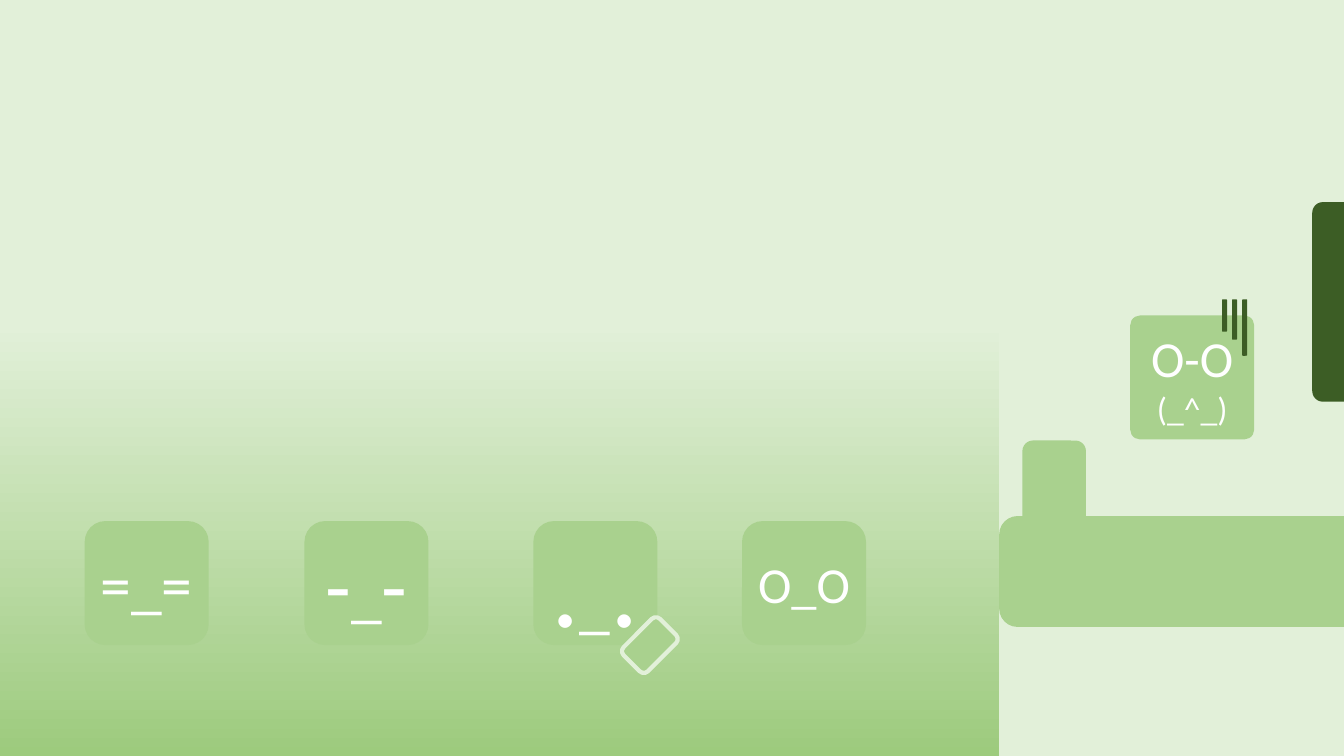
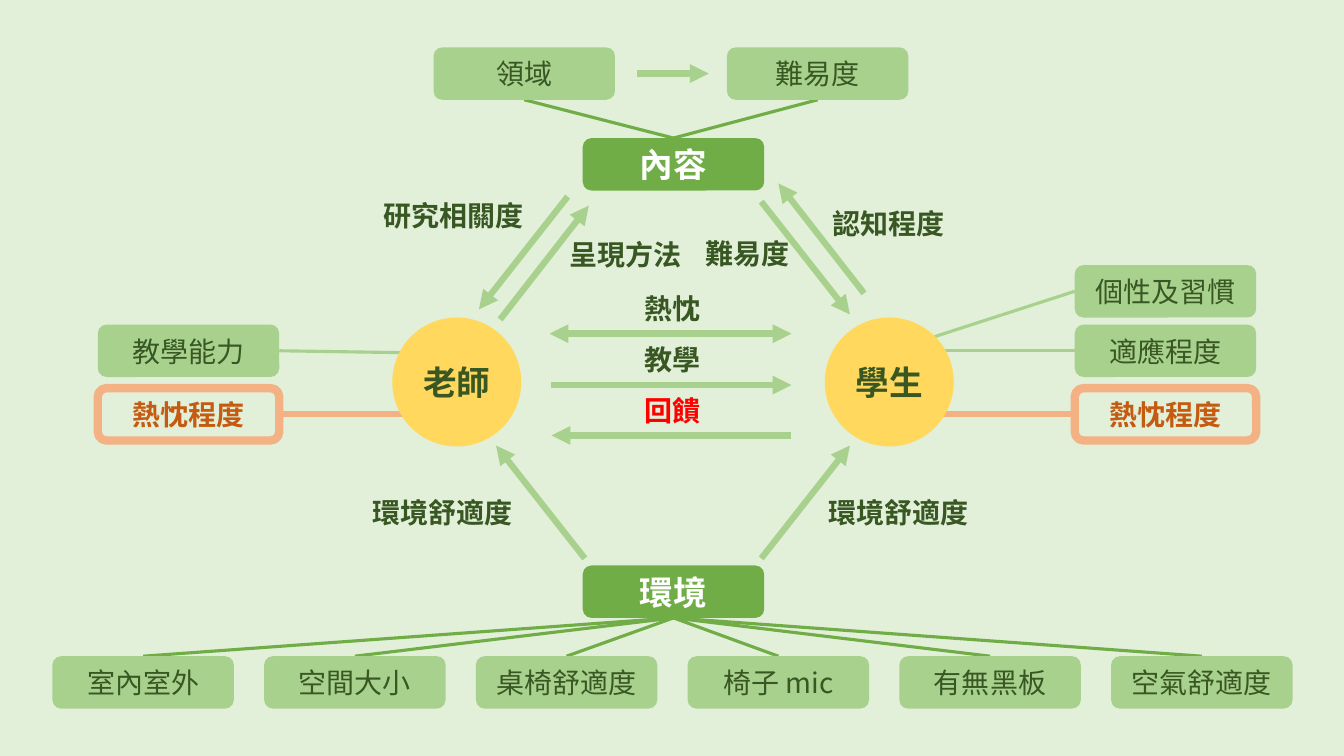
import lxml.etree
import pptx
import pptx.dml.color
import pptx.enum.shapes
import pptx.enum.text
import pptx.oxml.ns
import pptx.util

PX = 9144  # one px is a hundredth of an inch
PALE, LIGHT, MID, DARK = "E2F0D9", "A9D18E", "70AD47", "385723"
STRONG, ORANGE, RUST, YELLOW = "3C5D25", "F4B183", "C55A11", "FFD85D"
WHITE, RED = "FFFFFF", "FF0000"
LATIN, CJK = "Calibri", "Noto Sans CJK JP"
ROUND = pptx.enum.shapes.MSO_SHAPE.ROUNDED_RECTANGLE
CIRCLE = pptx.enum.shapes.MSO_SHAPE.OVAL
color = pptx.dml.color.RGBColor.from_string
qn = pptx.oxml.ns.qn


def add_box(page, bounds, fill=None, lines=(), ink=DARK, font=CJK, bold=False, kind=ROUND, outline=None):
    """Add a filled shape, or a plain label without fill; lines hold (text, size) runs."""
    place = [value * PX for value in bounds]
    if fill is None:
        box = page.shapes.add_textbox(*place)
    else:
        box = page.shapes.add_shape(kind, *place)
        box.shadow.inherit = False
        box.fill.solid()
        box.fill.fore_color.rgb = color(fill)
        if outline:
            box.line.color.rgb = color(outline[0])
            box.line.width = pptx.util.Pt(outline[1])
        else:
            box.line.fill.background()
        box.text_frame.vertical_anchor = pptx.enum.text.MSO_ANCHOR.MIDDLE
        box.text_frame.margin_left = box.text_frame.margin_right = 0
    frame = box.text_frame
    frame.word_wrap = fill is not None
    for index, runs in enumerate(lines):
        para = frame.add_paragraph() if index else frame.paragraphs[0]
        para.alignment = pptx.enum.text.PP_ALIGN.CENTER
        for text, size in runs:
            span = para.add_run()
            span.text = text
            span.font.size = pptx.util.Pt(size)
            span.font.bold = bold
            span.font.name = font
            span.font.color.rgb = color(ink)
            lxml.etree.SubElement(span.font._element, qn("a:ea"), typeface=font)
    return box


def add_line(page, ends, ink, width, arrows=()):
    """Draw a straight line; arrows may name headEnd (start) and tailEnd (finish)."""
    line = page.shapes.add_connector(
        pptx.enum.shapes.MSO_CONNECTOR.STRAIGHT, *[value * PX for value in ends])
    line.line.color.rgb = color(ink)
    line.line.width = pptx.util.Pt(width)
    properties = line.element.spPr
    for arrow in arrows:
        lxml.etree.SubElement(properties.find(qn("a:ln")), qn("a:" + arrow), type="triangle")
    lxml.etree.SubElement(properties, qn("a:effectLst"))


# Deck and shared background
deck = pptx.Presentation()
deck.slide_width, deck.slide_height = 1333 * PX, 750 * PX
deck.slide_master.background.fill.solid()
deck.slide_master.background.fill.fore_color.rgb = color(PALE)
blank = deck.slide_layouts[6]

# Slide 1: floor fading downwards
page = deck.slides.add_slide(blank)
floor = add_box(page, (0, 321, 991, 514), PALE, kind=pptx.enum.shapes.MSO_SHAPE.RECTANGLE)
floor.fill.gradient()
floor.fill.gradient_angle = 270
for stop, position, shade in zip(floor.fill.gradient_stops, (0, 1), (PALE, "8FC36B")):
    stop.position = position
    stop.color.rgb = color(shade)

# Desk, its upright and the board at the edge
add_box(page, (991, 512, 419, 110), LIGHT)
add_box(page, (1234, 268, 198, 63), STRONG).rotation = 90
add_box(page, (996, 455, 99, 63), LIGHT).rotation = 90

# Speaker and listeners
speaker = add_box(page, (1121, 313, 123, 123), LIGHT,
                  [[("O-O", 36)], [("(_^_)", 24)]], WHITE, LATIN)
speaker.adjustments[0] = 0.08
listeners = [
    (84, [("=_=", 44)]),
    (302, [("-", 60), ("_", 44), ("-", 60)]),
    (529, [(".", 80), ("_", 44), (".", 80)]),
    (736, [("O_O", 36)]),
]
for left, face in listeners:
    add_box(page, (left, 517, 123, 123), LIGHT, [face], WHITE, LATIN)

# Handheld device and gloom marks
add_box(page, (619, 623, 51, 34), LIGHT, outline=(PALE, 3)).rotation = 135
for index, height in enumerate((32, 40, 56)):
    add_box(page, (1212 + 10 * index, 297, 5, height), STRONG)

# Slide 2: links from the two themes to their topics
page = deck.slides.add_slide(blank)
BOX_WIDTH, BOX_HEIGHT = 180, 52
theme_left = 578
theme_middle = theme_left + BOX_WIDTH // 2
content_top, setting_top, topic_top, factor_top = 137, 561, 47, 651
topics = [(430, "領域"), (721, "難易度")]
factors = [(52 + 210 * index, name) for index, name in enumerate(
    ("室內室外", "空間大小", "桌椅舒適度", "椅子 mic", "有無黑板", "空氣舒適度"))]
for left, name in topics:
    add_line(page, (theme_middle, content_top, left + BOX_WIDTH // 2, topic_top + BOX_HEIGHT), MID, 2.25)
for left, name in factors:
    add_line(page, (theme_middle, setting_top + BOX_HEIGHT, left + BOX_WIDTH // 2, factor_top), MID, 2.25)

# Links from the two people to their traits
for ends, ink, width in [
    ((409, 350, 277, 348), LIGHT, 2.25),
    ((409, 411, 277, 411), ORANGE, 4.5),
    ((1066, 289, 927, 334), LIGHT, 2.25),
    ((1066, 348, 909, 348), LIGHT, 2.25),
    ((1066, 411, 930, 411), ORANGE, 4.5),
]:
    add_line(page, ends, ink, width)

# Arrows between people, content and setting
for ends in [
    (632, 73, 703, 73),
    (580, 554, 492, 442), (755, 554, 843, 442),
    (755, 200, 843, 312), (857, 291, 772, 182),
    (563, 195, 475, 307), (496, 317, 584, 204),
    (547, 382, 785, 382), (785, 432, 547, 432),
]:
    add_line(page, ends, LIGHT, 4.5, ["tailEnd"])
add_line(page, (545, 331, 785, 331), LIGHT, 4.5, ["headEnd", "tailEnd"])

# Themes and people
for top, name in [(content_top, "內容"), (setting_top, "環境")]:
    add_box(page, (theme_left, top, BOX_WIDTH, BOX_HEIGHT), MID, [[(name, 24)]], WHITE, bold=True)
for left, name in [(389, "老師"), (818, "學生")]:
    add_box(page, (left, 315, 128, 128), YELLOW, [[(name, 24)]], bold=True, kind=CIRCLE)

# Topics, factors and traits
small_boxes = [(left, topic_top, name) for left, name in topics]
small_boxes += [(left, factor_top, name) for left, name in factors]
small_boxes += [(97, 322, "教學能力"), (1066, 263, "個性及習慣"), (1066, 322, "適應程度")]
for left, top, name in small_boxes:
    add_box(page, (left, top, BOX_WIDTH, BOX_HEIGHT), LIGHT, [[(name, 20)]])
for left in (97, 1066):
    add_box(page, (left, 385, BOX_WIDTH, BOX_HEIGHT), PALE, [[("熱忱程度", 20)]],
            RUST, bold=True, outline=(ORANGE, 6))

# Arrow labels: 28 px a character plus the side margins
for left, top, name, ink in [
    (370, 192, "研究相關度", DARK),
    (554, 231, "呈現方法", DARK),
    (689, 230, "難易度", DARK),
    (815, 200, "認知程度", DARK),
    (629, 284, "熱忱", DARK),
    (629, 335, "教學", DARK),
    (629, 385, "回饋", RED),
    (359, 487, "環境舒適度", DARK),
    (811, 487, "環境舒適度", DARK),
]:
    add_box(page, (left, top, 20 + 28 * len(name), 44), None, [[(name, 20)]], ink, bold=True)

deck.save("out.pptx")
